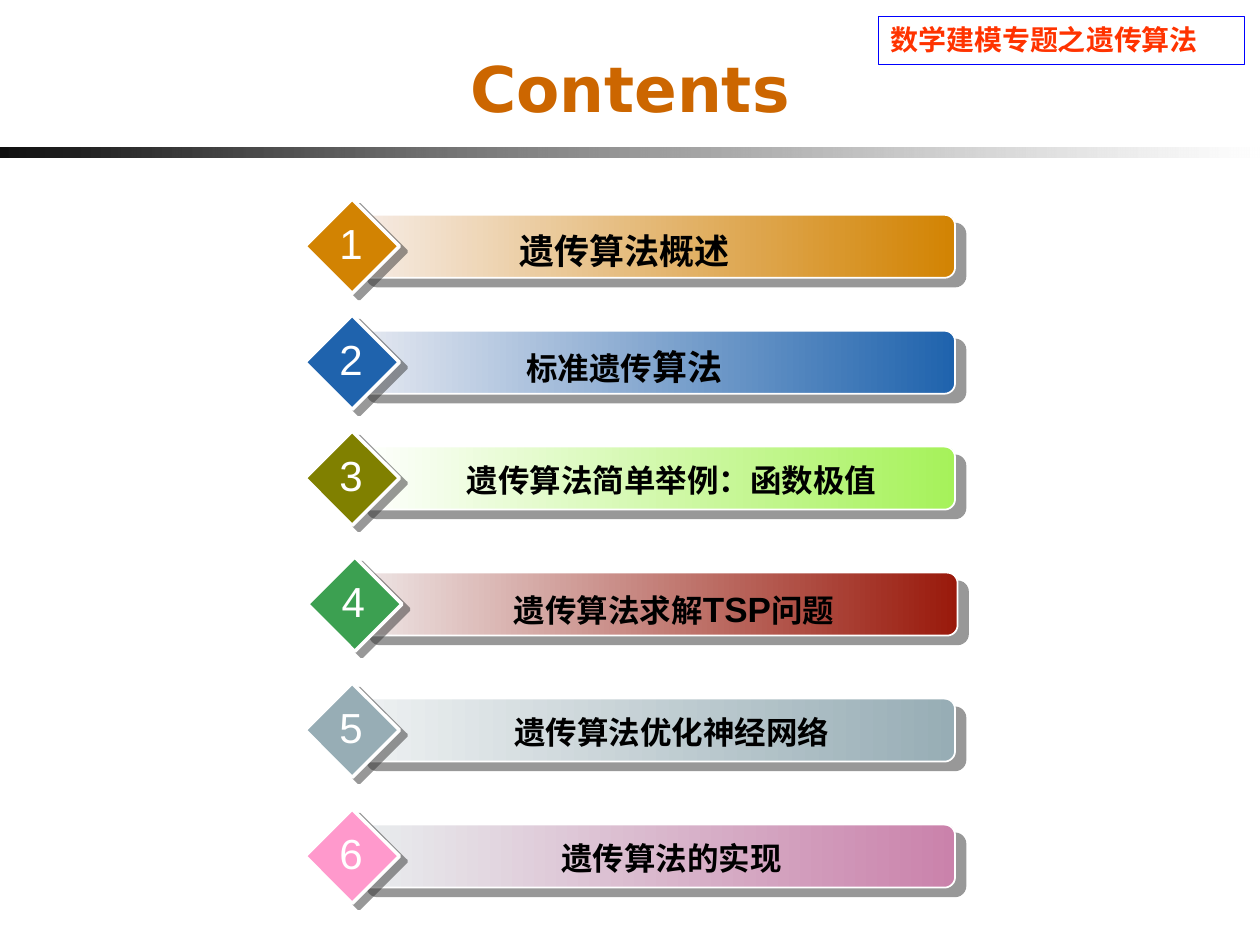
from itertools import accumulate
from pptx import Presentation
from pptx.dml.color import RGBColor
from pptx.enum.shapes import MSO_SHAPE
from pptx.enum.text import MSO_ANCHOR, PP_ALIGN
from pptx.oxml.ns import qn
from pptx.util import Inches, Pt
from lxml.etree import SubElement

WIDE, HIGH = 10, 7.5

THEME = {
    "white": "FFFFFF", "edge": "0000FF", "shade": "333333",
    "rule": ("080808", "FFFFFF"),
    "title": dict(name="DejaVu Sans", size=36, bold=True, color="CC6600"),
    "topic": dict(name="Lato", size=16, bold=True, color="FF3300"),
    "label": dict(name="Arial", size=18, bold=True, color="000000"),
    "digit": dict(name="Arial", size=24, bold=False, color="FFFFFF"),
}
BIG = {"size": 20}

TITLE = [("Contents", {})]
TOPIC = [("数学建模专题之", {}), ("遗传算法", {"name": "Arial"})]

# label runs, label width, bar start, bar end, diamond, shift to the right
ITEMS = [
    ([("遗传算法概述", BIG)], 3.75, "F6ECE6", "D28302", "D28302", 0),
    ([("标准遗传", {}), ("算法", BIG)], 3.75, "E6E9F1", "1F63AD", "1F63AD", 0),
    ([("遗传算法简单举例：函数极值", {})], 4.5, "FFFFFF", "A6F25A", "808000", 0),
    ([("遗传算法求解", {}), ("TSP", BIG), ("问题", {})], 4.5,
     "EEE6E6", "99190B", "3CA051", 0.02),
    ([("遗传算法优化神经网络", {})], 4.5, "EEF1F2", "97ADB5", "97ADB5", 0),
    ([("遗传算法的实现", {})], 4.5, "E9EEEF", "CA82AB", "FF99CC", 0),
]
LEFT, TOP = 2.42, 1.58
STEPS = [0.92, 0.92, 1, 1, 1]
GEM = 0.75
BAR = (4.75, 0.5)


def write(shape, runs, style, align=PP_ALIGN.CENTER, anchor=MSO_ANCHOR.TOP, wrap=True):
    frame = shape.text_frame
    frame.word_wrap, frame.vertical_anchor = wrap, anchor
    para = frame.paragraphs[0]
    para.alignment = align
    for text, change in runs:
        run = para.add_run()
        run.text = text
        look = {**THEME[style], **change}
        run.font.color.rgb = RGBColor.from_string(look.pop("color"))
        look["size"] = Pt(look["size"])
        for key, value in look.items():
            setattr(run.font, key, value)


def box(home, area, *args, **more):
    write(home.add_textbox(*map(Inches, area)), *args, **more)


def draw(home, kind, area, line=None, width=1):
    shape = home.add_shape(kind, *map(Inches, area))
    shape.shadow.inherit = False
    if line:
        shape.line.color.rgb = RGBColor.from_string(line)
        shape.line.width = Pt(width)
    else:
        shape.line.fill.background()
    return shape


def blend(shape, colors, alphas=()):
    """Fill from left to right, with optional opacity per stop in percent."""
    shape.fill.gradient()
    shape.fill.gradient_angle = 0
    for stop, color in zip(shape.fill.gradient_stops, colors):
        stop.color.rgb = RGBColor.from_string(color)
    tints = shape._element.spPr.findall(".//" + qn("a:gs") + "/" + qn("a:srgbClr"))
    for tint, alpha in zip(tints, alphas):
        SubElement(tint, qn("a:alpha"), val=str(alpha * 1000))


def shade(shape, gap, angle):
    effect = shape._element.spPr.find(qn("a:effectLst"))
    cast = SubElement(effect, qn("a:outerShdw"), blurRad="0", dist=str(Pt(gap)),
                      dir=str(angle * 60000), algn="ctr", rotWithShape="0")
    color = SubElement(cast, qn("a:srgbClr"), val=THEME["shade"])
    SubElement(color, qn("a:alpha"), val="50000")


def row(home, number, top, item):
    runs, width, start, end, gem, shift = item
    left = LEFT + shift
    group = home.add_group_shape().shapes
    bar = draw(group, MSO_SHAPE.ROUNDED_RECTANGLE,
               (left + 0.41, top + (GEM - BAR[1]) / 2, *BAR), THEME["white"])
    blend(bar, (start, end))
    shade(bar, 7.8, 40)
    mark = draw(group, MSO_SHAPE.DIAMOND, (left, top, GEM, GEM), THEME["white"], 2)
    mark.fill.solid()
    mark.fill.fore_color.rgb = RGBColor.from_string(gem)
    shade(mark, 5, 37)
    box(group, (left + 0.66, top + 0.19, width, 0.43), runs, "label")
    box(group, (left + 0.17, top + 0.1, 0.39, 0.5), [(str(number), {})], "digit",
        wrap=False)


def main():
    deck = Presentation()
    deck.slide_width, deck.slide_height = Inches(WIDE), Inches(HIGH)
    home = deck.slides.add_slide(deck.slide_layouts[6]).shapes
    rule = draw(home, MSO_SHAPE.RECTANGLE, (0, 1.17, WIDE, 0.08))
    blend(rule, THEME["rule"], (97, 70))
    topic = draw(home, MSO_SHAPE.RECTANGLE, (6.97, 0.13, 2.91, 0.38), THEME["edge"], 0.75)
    topic.fill.background()
    write(topic, TOPIC, "topic", PP_ALIGN.LEFT)
    box(home, (0.67, 0.17, WIDE - 2 * 0.67, 1.05), TITLE, "title",
        anchor=MSO_ANCHOR.MIDDLE)
    tops = accumulate(STEPS, initial=TOP)
    for number, (top, item) in enumerate(zip(tops, ITEMS), 1):
        row(home, number, top, item)
    deck.save("out.pptx")


if __name__ == "__main__":
    main()
